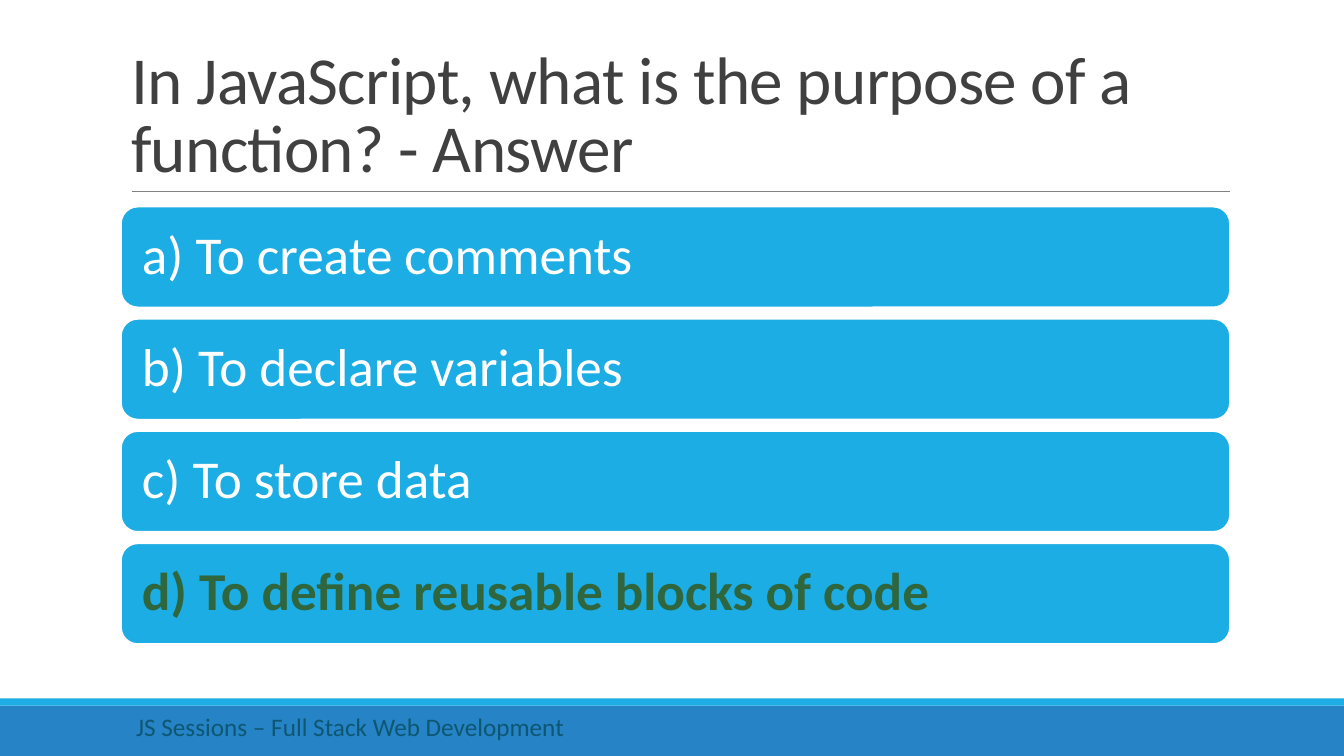
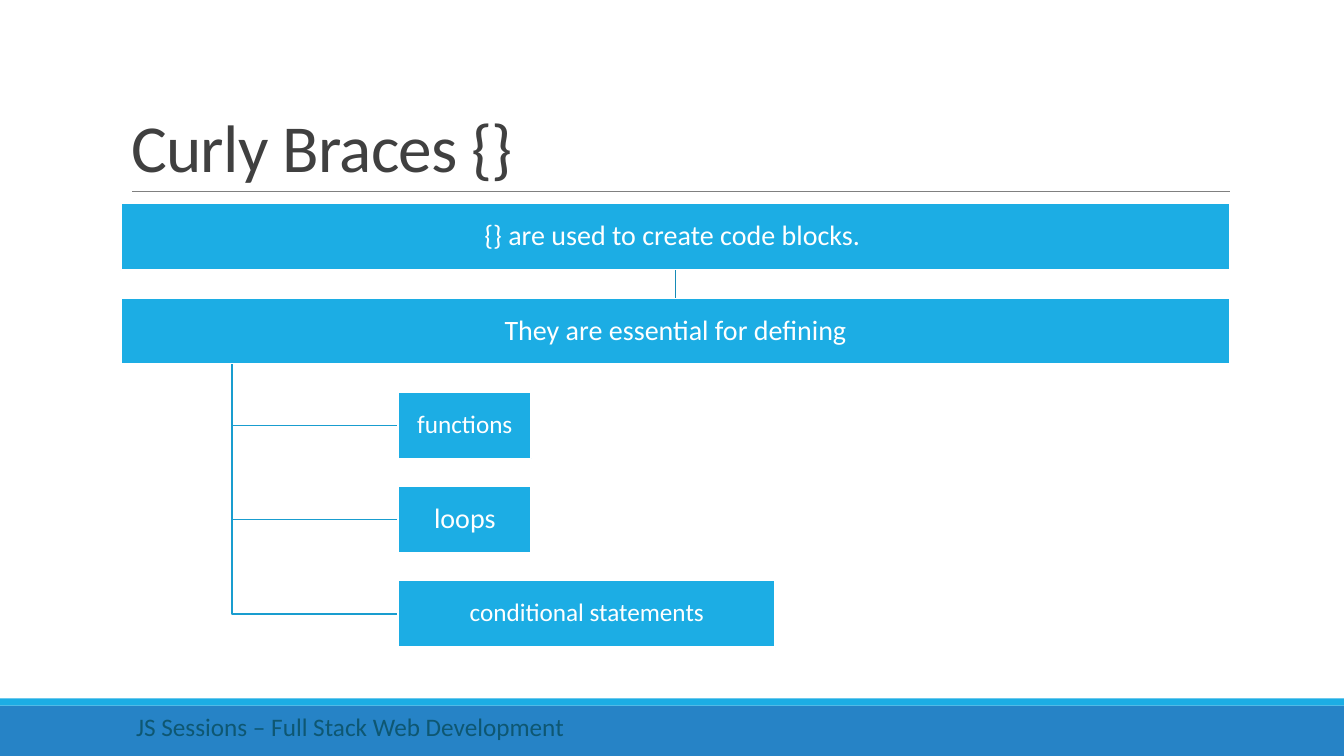
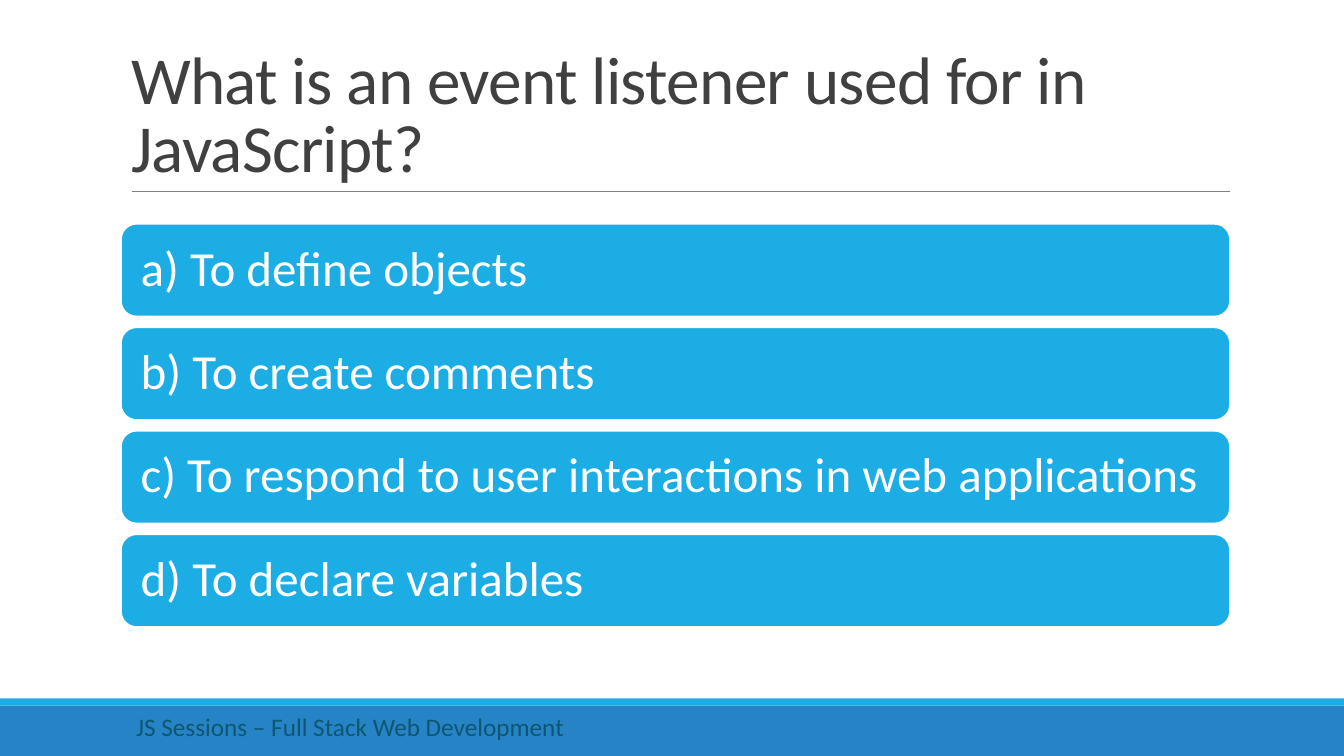
from lxml import etree
from pptx import Presentation
from pptx.dml.color import RGBColor
from pptx.enum.shapes import MSO_CONNECTOR, MSO_SHAPE
from pptx.enum.text import MSO_ANCHOR, MSO_AUTO_SIZE, PP_ALIGN
from pptx.oxml.ns import qn
from pptx.util import Inches, Pt

RECTANGLE = MSO_SHAPE.RECTANGLE
ROUNDED = MSO_SHAPE.ROUNDED_RECTANGLE
STRAIGHT = MSO_CONNECTOR.STRAIGHT
LEFT, CENTER = PP_ALIGN.LEFT, PP_ALIGN.CENTER
TOP, MIDDLE, BOTTOM = MSO_ANCHOR.TOP, MSO_ANCHOR.MIDDLE, MSO_ANCHOR.BOTTOM
SITE_TOP, SITE_BOTTOM = 0, 2

FONT = "Calibri"
COLORS = {
    "title": "404040", "rule": "808080", "white": "FFFFFF",
    "box": "1CADE4", "band": "2683C6", "footer": "0E5772",
    "correct": "2F663E", "link": "168BB7", "branch": "199DCF",
}
SLIDE_WIDTH, SLIDE_HEIGHT = 13.33, 7.5
MARGIN, CONTENT_WIDTH = 1.2, 11
FOOTER_TEXT = "JS Sessions – Full Stack Web Development"


def color(name):
    return RGBColor.from_string(COLORS[name])


def write(shape, text, size, fill="white", bold=False, align=LEFT, anchor=MIDDLE,
          insets=(0.1, 0.05), spacing=0.9, tracking=None):
    """Fill a shape with one formatted paragraph; insets are horizontal, vertical."""
    frame = shape.text_frame
    frame.word_wrap = True
    frame.auto_size = MSO_AUTO_SIZE.NONE
    frame.vertical_anchor = anchor
    frame.margin_left = frame.margin_right = Inches(insets[0])
    frame.margin_top = frame.margin_bottom = Inches(insets[1])
    paragraph = frame.paragraphs[0]
    paragraph.alignment = align
    paragraph.line_spacing = spacing
    run = paragraph.add_run()
    run.text = text
    run.font.name = FONT
    run.font.size = Pt(size)
    run.font.bold = bold
    run.font.color.rgb = color(fill)
    if tracking is not None:
        run.font._element.set("spc", str(int(tracking * 100)))


class Deck:
    def __init__(self):
        self.presentation = Presentation()
        self.presentation.slide_width = Inches(SLIDE_WIDTH)
        self.presentation.slide_height = Inches(SLIDE_HEIGHT)
        self.slide = None

    def add_slide(self, title):
        layout = self.presentation.slide_layouts.get_by_name("Title Only")
        self.slide = self.presentation.slides.add_slide(layout)
        self.box(0, 7, SLIDE_WIDTH, 0.5, fill="band", outline=None)
        self.box(0, 6.93, SLIDE_WIDTH, 0.07, outline=None)
        self.line((1.31, 1.9), (12.2, 1.9), "rule", 0.5)
        self.title(title)
        self.footer()

    def title(self, text):
        placeholder = self.slide.shapes.title
        placeholder.left, placeholder.top = Inches(MARGIN), Inches(0.31)
        placeholder.width, placeholder.height = Inches(CONTENT_WIDTH), Inches(1.59)
        write(placeholder, text, 48, fill="title", anchor=BOTTOM, spacing=0.85,
              tracking=-0.5)

    def footer(self):
        text_box = self.slide.shapes.add_textbox(
            Inches(MARGIN), Inches(7.01), Inches(7.78), Inches(0.4))
        write(text_box, FOOTER_TEXT, 18, fill="footer", anchor=TOP,
              insets=(0.15, 0.05), spacing=1)

    def box(self, left, top, width, height, kind=RECTANGLE, fill="box", outline="white"):
        shape = self.slide.shapes.add_shape(
            kind, Inches(left), Inches(top), Inches(width), Inches(height))
        shape.shadow.inherit = False
        shape.fill.solid()
        shape.fill.fore_color.rgb = color(fill)
        if outline:
            shape.line.color.rgb = color(outline)
            shape.line.width = Pt(1.25)
        else:
            shape.line.fill.background()
        return shape

    def line(self, start, end, stroke, width=1.25):
        connector = self.slide.shapes.add_connector(
            STRAIGHT, *(Inches(value) for value in (*start, *end)))
        connector.line.color.rgb = color(stroke)
        connector.line.width = Pt(width)
        etree.SubElement(connector._element.spPr, qn("a:effectLst"))
        return connector

    def branch(self, left, top, right, bottom):
        """Draw an open path straight down, then right."""
        builder = self.slide.shapes.build_freeform(Inches(left), Inches(top))
        builder.add_line_segments(
            [(Inches(left), Inches(bottom)), (Inches(right), Inches(bottom))],
            close=False)
        shape = builder.convert_to_shape()
        shape.shadow.inherit = False
        shape.fill.background()
        shape.line.color.rgb = color("branch")
        shape.line.width = Pt(1.25)

    def answers(self, options, top, last_top, height, size, inset, correct=None):
        """Stack the answer options; the correct one, if given, is highlighted."""
        pitch = (last_top - top) / (len(options) - 1)
        for index, option in enumerate(options):
            shape = self.box(MARGIN, top + index * pitch, CONTENT_WIDTH, height, ROUNDED)
            is_correct = index == correct
            write(shape, option, size, fill="correct" if is_correct else "white",
                  bold=is_correct, insets=(inset, 0.05))

    def node(self, text, left, top, width, height, size):
        shape = self.box(left, top, width, height)
        write(shape, text, size, align=CENTER, insets=(0.01, 0.01))
        return shape


def build_function_answer(deck):
    deck.add_slide("In JavaScript, what is the purpose of a function? - Answer")
    deck.answers(
        ["a) To create comments", "b) To declare variables", "c) To store data",
         "d) To define reusable blocks of code"],
        top=2.05, last_top=5.39, height=1, size=38, inset=0.16, correct=3)


def build_curly_braces(deck):
    deck.add_slide("Curly Braces {}")
    parents = ["{} are used to create code blocks. ", "They are essential for defining"]
    children = [("functions", 1.32, 18), ("loops", 1.32, 20),
                ("conditional statements", 3.74, 18)]
    top, last_top, height = 2.02, 5.76, 0.66
    pitch = (last_top - top) / (len(parents) + len(children) - 1)
    trunk_x, child_left = 2.3, 3.95

    first, second = [
        deck.node(text, MARGIN, top + row * pitch, CONTENT_WIDTH, height, 20)
        for row, text in enumerate(parents)
    ]
    center_x = MARGIN + CONTENT_WIDTH / 2
    link = deck.line((center_x, top + height), (center_x, top + pitch), "link")
    link.begin_connect(first, SITE_BOTTOM)
    link.end_connect(second, SITE_TOP)

    trunk_top = top + pitch + height
    for row, (text, width, size) in enumerate(children, start=len(parents)):
        child_top = top + row * pitch
        deck.branch(trunk_x, trunk_top, child_left, child_top + height / 2)
        deck.node(text, child_left, child_top, width, height, size)


def build_event_listener(deck):
    deck.add_slide("What is an event listener used for in JavaScript?")
    deck.answers(
        ["a) To define objects", "b) To create comments",
         "c) To respond to user interactions in web applications",
         "d) To declare variables"],
        top=2.22, last_top=5.3, height=0.92, size=35, inset=0.15)


def main():
    deck = Deck()
    build_function_answer(deck)
    build_curly_braces(deck)
    build_event_listener(deck)
    deck.presentation.save("out.pptx")


if __name__ == "__main__":
    main()
